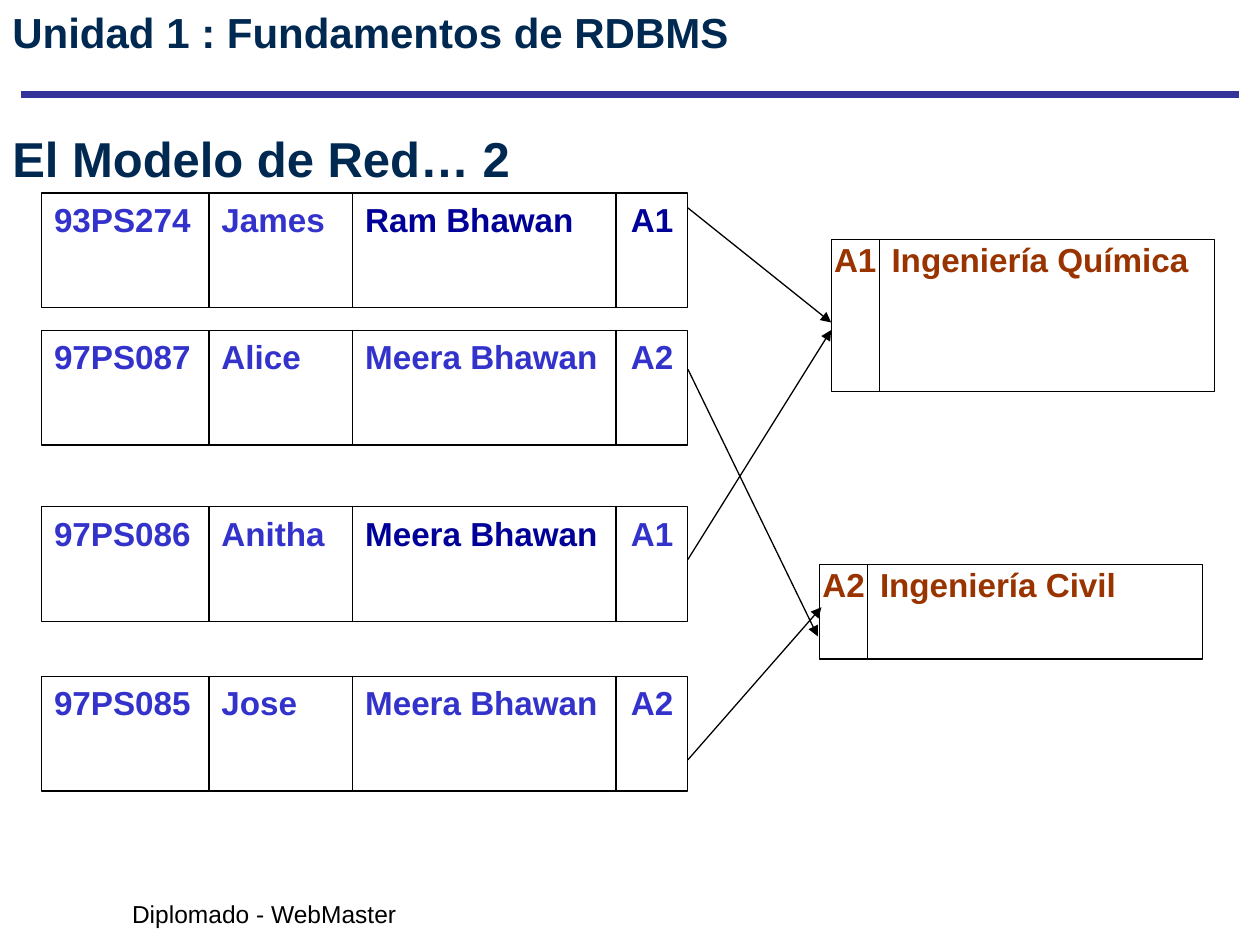
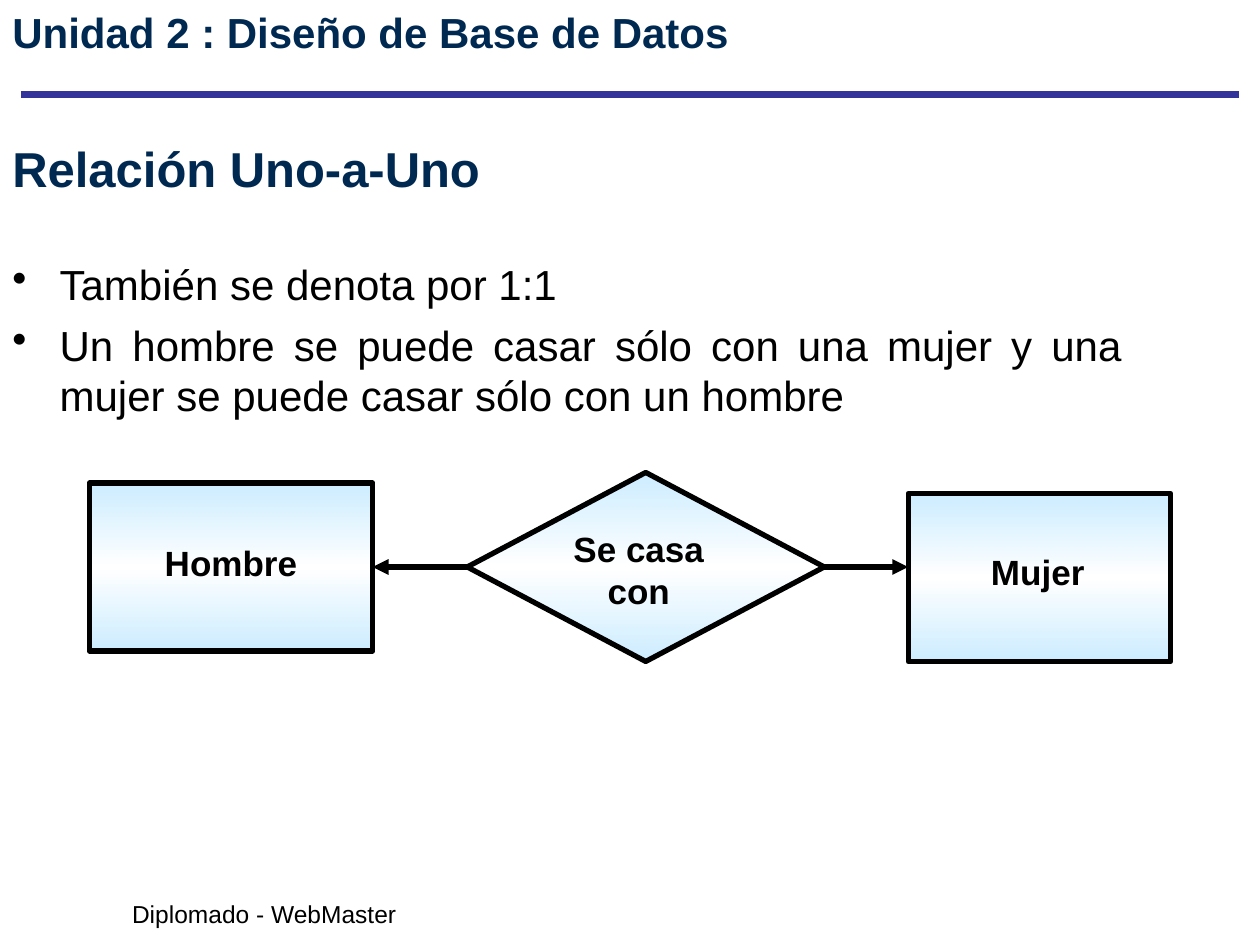
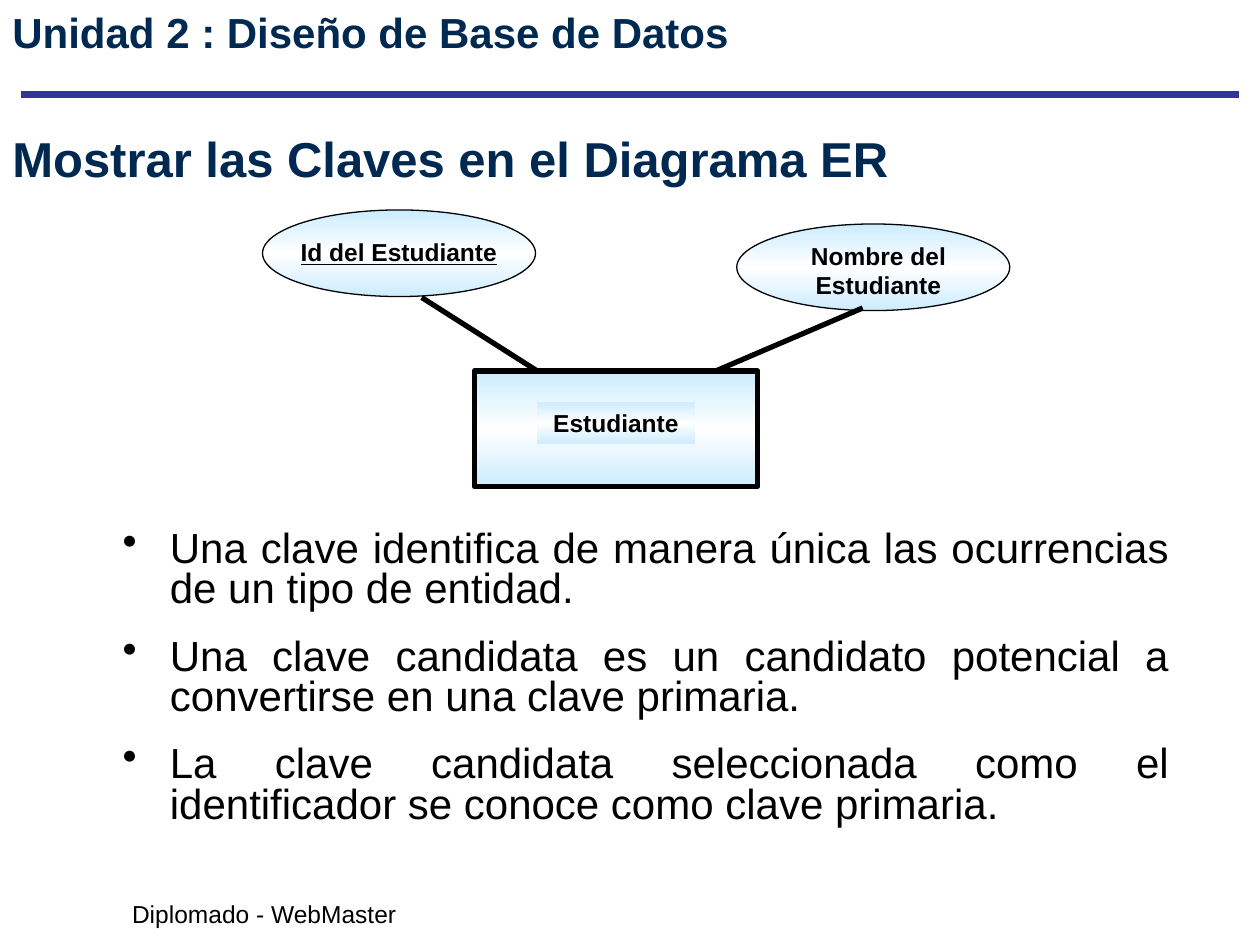
from copy import deepcopy

from lxml.etree import SubElement
from pptx import Presentation
from pptx.dml.color import RGBColor
from pptx.enum.shapes import MSO_CONNECTOR, MSO_SHAPE as SHAPE
from pptx.enum.text import MSO_ANCHOR as ANCHOR, PP_ALIGN as ALIGN
from pptx.oxml.ns import qn
from pptx.util import Pt

NAVY, RULE, BLACK, WHITE = "002952", "333399", "000000", "FFFFFF"
BLUE, DARK_BLUE, BROWN = "3333CC", "000099", "993300"
GRADIENT = [(0, "CCECFF"), (0.5, WHITE), (1, "CCECFF")]
color = RGBColor.from_string


def add_box(page, kind, area, texts=(), size=14, ink=BLACK, bold=True, align=ALIGN.LEFT,
            anchor=ANCHOR.TOP, inset=(7.2, 3.6), fill=None, line=0, bullet=False):
    """Add a preset shape, or a text box when kind is None."""
    area = [Pt(length) for length in area]
    if kind is None:
        box = page.shapes.add_textbox(*area)
    else:
        box = page.shapes.add_shape(kind, *area)
        box.shadow.inherit = False
        if fill == GRADIENT:
            box.fill.gradient()
            box.fill.gradient_angle = 90
            stop_list = box._element.spPr.find(".//" + qn("a:gsLst"))
            stop_list.insert(1, deepcopy(stop_list[0]))
            for stop, (position, shade) in zip(box.fill.gradient_stops, GRADIENT):
                stop.position = position
                stop.color.rgb = color(shade)
        else:
            box.fill.solid()
            box.fill.fore_color.rgb = color(fill)
        if line:
            box.line.color.rgb = color(BLACK)
            box.line.width = Pt(line)
        else:
            box.line.fill.background()
    frame = box.text_frame
    frame.word_wrap = True
    frame.vertical_anchor = anchor
    frame.margin_left = frame.margin_right = Pt(inset[0])
    frame.margin_top = frame.margin_bottom = Pt(inset[1])
    for index, text in enumerate(texts):
        para = frame.add_paragraph() if index else frame.paragraphs[0]
        para.text = text
        para.alignment = align
        if bullet:
            props = para._p.get_or_add_pPr()
            props.set("marL", str(Pt(27)))
            props.set("indent", str(Pt(-27)))
            SubElement(props, qn("a:buChar"), char="•")
        para.font.name = "Arial"
        para.font.size = Pt(size)
        para.font.bold = bold
        para.font.color.rgb = color(ink)
    return box


def add_line(page, ends, width, shade=BLACK, arrow=False):
    """Add a straight line, with an arrowhead at its end if asked."""
    line = page.shapes.add_connector(MSO_CONNECTOR.STRAIGHT, *[Pt(end) for end in ends])
    line.line.color.rgb = color(shade)
    line.line.width = Pt(width)
    if arrow:
        SubElement(line.line._get_or_add_ln(), qn("a:tailEnd"), type="triangle")
    SubElement(line._element.spPr, qn("a:effectLst"))


deck = Presentation()
deck.slide_width, deck.slide_height = Pt(720), Pt(540)

# Shared parts: rule, unit heading, title and footer
UNIT_1 = "Unidad 1 : Fundamentos de RDBMS"
UNIT_2 = "Unidad 2 : Diseño de Base de Datos"
pages = []
for unit, title, title_top, title_width in [
    (UNIT_1, "El Modelo de Red… 2", 66, 546),
    (UNIT_2, "Relación Uno-a-Uno", 72, 612),
    (UNIT_2, "Mostrar las Claves en el Diagrama ER", 66, 660),
]:
    page = deck.slides.add_slide(deck.slide_layouts[6])
    add_line(page, (12, 54, 708, 54), 4.5, RULE)
    add_box(page, None, (0, title_top, title_width, 48), [title], 28, NAVY,
            anchor=ANCHOR.MIDDLE)
    footer = add_box(page, None, (68.4, 510, 165.6, 24), ["Diplomado - WebMaster"], bold=False)
    footer.text_frame.word_wrap = False
    add_box(page, None, (0, 0, 570, 42), [unit], 24, NAVY)
    pages.append(page)
network_page, relation_page, keys_page = pages

# Network model: student records, with the ink of their address and branch code
columns = [(23.8, 95.7), (119.5, 82.1), (201.6, 150.5), (352.1, 41)]
for top, record, address_ink, code_ink in [
    (110.2, ["93PS274", "James", "Ram Bhawan", "A1"], DARK_BLUE, DARK_BLUE),
    (188.8, ["97PS087", "Alice", "Meera Bhawan", "A2"], BLUE, BLUE),
    (289.6, ["97PS086", "Anitha", "Meera Bhawan", "A1"], DARK_BLUE, BLUE),
    (386.6, ["97PS085", "Jose", "Meera Bhawan", "A2"], BLUE, BLUE),
]:
    inks = [BLUE, BLUE, address_ink, code_ink]
    for (left, width), text, ink in zip(columns, record, inks):
        is_code = text == record[-1]
        add_box(network_page, SHAPE.RECTANGLE, (left, top, width, 65.5), [text], 19, ink,
                align=ALIGN.CENTER if is_code else ALIGN.LEFT,
                inset=(0 if is_code else 7.2, 3.6), fill=WHITE, line=0.75)

# Network model: branches
for left, top, height, code, branch in [
    (475, 136.8, 87.1, "A1", "Ingeniería Química"),
    (468.4, 322.6, 54, "A2", "Ingeniería Civil"),
]:
    add_box(network_page, SHAPE.RECTANGLE, (left + 27.4, top, 191.5, height), [branch], 19,
            BROWN, inset=(7.2, 0), fill=WHITE, line=0.75)
    add_box(network_page, SHAPE.RECTANGLE, (left, top, 27.4, height), [code], 19,
            BROWN, align=ALIGN.CENTER, inset=(0, 0), fill=WHITE, line=0.75)

# Network model: links from student to branch
for start_y, end_x, end_y in [(118.8, 475, 184.3), (211, 467.3, 363.6),
                              (434.2, 469.4, 347), (319.7, 475, 188.6)]:
    add_line(network_page, (393.1, start_y, end_x, end_y), 0.75, arrow=True)

# One-to-one relation: entities, relation and their labels
for kind, area, label, label_area in [
    (SHAPE.RECTANGLE, (51, 276, 162, 96), "Hombre", (75, 306, 114, 31.5)),
    (SHAPE.FLOWCHART_DECISION, (267, 270, 204, 108), "Se casa con", (309, 298, 112, 55.5)),
    (SHAPE.RECTANGLE, (519, 282, 150, 96), "Mujer", (539, 311, 108, 31.5)),
]:
    add_box(relation_page, kind, area, fill=GRADIENT, line=3)
    add_box(relation_page, None, label_area, [label], 20, align=ALIGN.CENTER)
for start_x, end_x in [(267, 213), (471, 519)]:
    add_line(relation_page, (start_x, 324, end_x, 324), 3, arrow=True)

# Keys: entity with its attributes
for area, label, label_area in [
    ((150, 120, 156, 49.5), "Id del Estudiante", (159, 132, 138, 24.5)),
    ((421, 128, 156, 49.5), "Nombre del Estudiante", (448, 134, 108, 41)),
]:
    add_box(keys_page, SHAPE.OVAL, area, fill=GRADIENT, line=0.75)
    attribute = add_box(keys_page, None, label_area, [label], align=ALIGN.CENTER)
    attribute.text_frame.paragraphs[0].font.underline = label.startswith("Id")
add_box(keys_page, SHAPE.RECTANGLE, (271, 212, 162, 66), fill=GRADIENT, line=3)
add_box(keys_page, SHAPE.RECTANGLE, (307, 229.5, 90, 24.5), ["Estudiante"],
        align=ALIGN.CENTER, fill=GRADIENT)
add_line(keys_page, (307, 212, 241, 170), 3)
add_line(keys_page, (409, 212, 493, 176), 3)

# Bullet lists
for page, area, line_spacing, gap, items in [
    (relation_page, (0, 144, 648, 132), 1.0, 6, [
        "También se denota por 1:1",
        "Un hombre se puede casar sólo con una mujer y una mujer se puede casar sólo "
        "con un hombre",
    ]),
    (keys_page, (63, 300, 612, 186), 0.8, 15.5, [
        "Una clave identifica de manera única las ocurrencias de un tipo de entidad.",
        "Una clave candidata es un candidato potencial a convertirse en una clave primaria.",
        "La clave candidata seleccionada como el identificador se conoce como clave primaria.",
    ]),
]:
    box = add_box(page, None, area, items, 24, bold=False, align=ALIGN.JUSTIFY, bullet=True)
    for index, para in enumerate(box.text_frame.paragraphs):
        para.line_spacing = line_spacing
        para.space_before = Pt(gap if index else 0)

deck.save("out.pptx")
